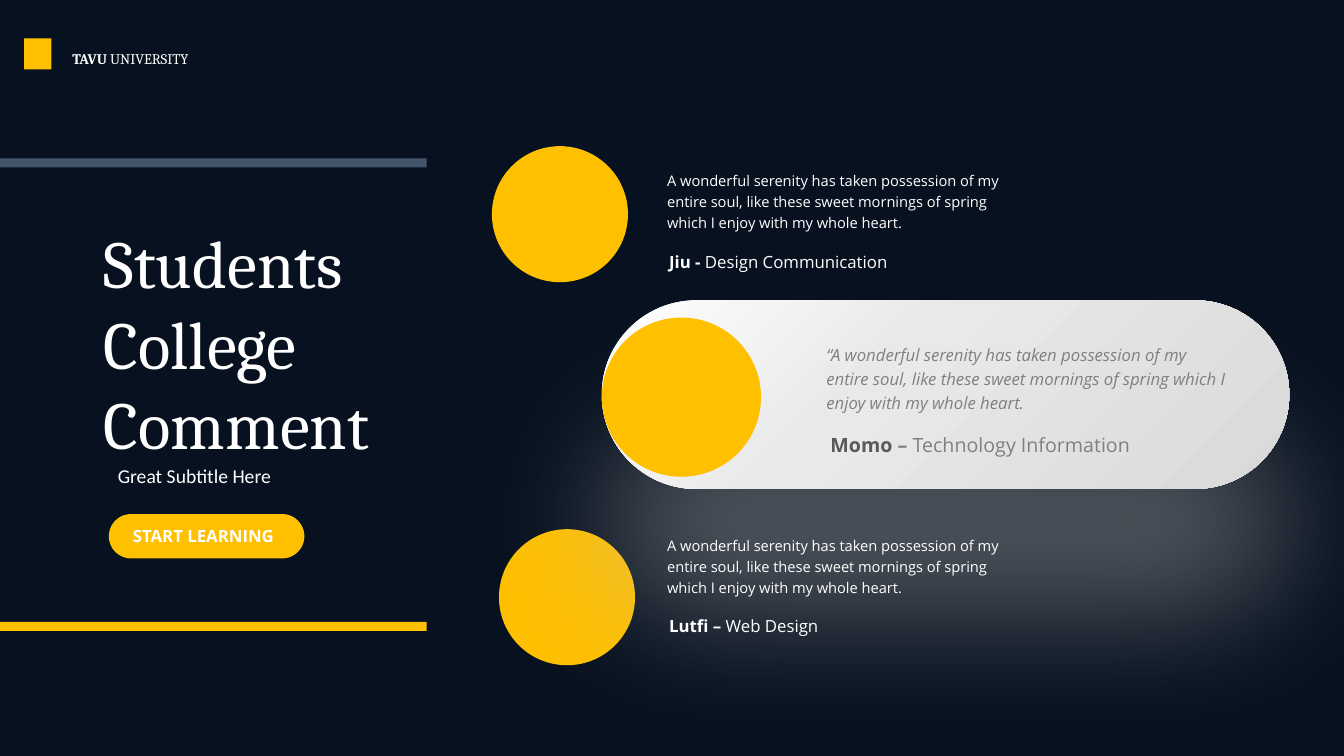
from dataclasses import dataclass

from lxml import etree
from pptx import Presentation
from pptx.dml.color import RGBColor
from pptx.enum.shapes import MSO_SHAPE as Preset
from pptx.enum.text import MSO_ANCHOR as Anchor, MSO_AUTO_SIZE as AutoSize
from pptx.oxml import parse_xml
from pptx.oxml.ns import nsdecls, qn
from pptx.util import Emu, Pt

COLUMNS, ROWS, CELL = 160, 90, 76200


@dataclass(frozen=True)
class Theme:
    night: str = "07111F"
    gold: str = "FFC000"
    slate: str = "44546A"
    white: str = "FFFFFF"
    grey: str = "808080"
    charcoal: str = "595959"
    glow: str = "BFBFBF"
    sheen: tuple = ((0, "FFFFFF"), (40, "E9E9E9"), (100, "D9D9D9"))
    serif: str = "Cambria"
    sans: str = "Open Sans"
    plain: str = "Calibri"
    title: float = 48
    subtitle: float = 14
    body: float = 12
    small: float = 10.5


class Deck:
    def __init__(self, theme):
        self.theme = theme
        self.presentation = Presentation()
        self.presentation.slide_width = Emu(COLUMNS * CELL)
        self.presentation.slide_height = Emu(ROWS * CELL)
        self.slide = self.presentation.slides.add_slide(self.presentation.slide_layouts[6])
        background = self.slide.background.fill
        background.solid()
        background.fore_color.rgb = RGBColor.from_string(theme.night)

    def grid(self, *cells):
        return [Emu(round(cell * CELL)) for cell in cells]

    def block(self, preset, column, row, columns, rows, color):
        shape = self.slide.shapes.add_shape(preset, *self.grid(column, row, columns, rows))
        shape.shadow.inherit = False
        shape.fill.solid()
        shape.fill.fore_color.rgb = RGBColor.from_string(color)
        shape.line.fill.background()
        return shape

    def pill(self, column, row, columns, rows):
        shape = self.block(Preset.ROUNDED_RECTANGLE, column, row, columns, rows, self.theme.gold)
        shape.adjustments[0] = 0.5
        return shape

    def circle(self, column, row, diameter):
        return self.block(Preset.OVAL, column, row, diameter, diameter, self.theme.gold)

    def bar(self, row, color):
        return self.block(Preset.RECTANGLE, 0, row, 50.8, 1.08, color)

    def glowing_pill(self, column, row, columns, rows):
        shape = self.pill(column, row, columns, rows)
        properties = shape.fill._xPr
        stops = "".join(
            f'<a:gs pos="{share * 1000}"><a:srgbClr val="{color}"/></a:gs>'
            for share, color in self.theme.sheen
        )
        gradient = parse_xml(
            f'<a:gradFill {nsdecls("a")} rotWithShape="1"><a:gsLst>{stops}</a:gsLst>'
            '<a:lin ang="2700000" scaled="0"/></a:gradFill>'
        )
        properties.replace(properties.find(qn("a:solidFill")), gradient)
        shadow = etree.SubElement(
            properties.find(qn("a:effectLst")), qn("a:outerShdw"),
            blurRad=str(Pt(100)), dist=str(Pt(90)), dir="5400000",
            algn="t", rotWithShape="0",
        )
        color = etree.SubElement(shadow, qn("a:srgbClr"), val=self.theme.glow)
        etree.SubElement(color, qn("a:alpha"), val="40000")

    def text(self, column, row, columns, rows, words, font, size, color=None,
             bold=None, italic=None, spacing=None, anchor=Anchor.TOP,
             wrap=True, grow=AutoSize.SHAPE_TO_FIT_TEXT):
        box = self.slide.shapes.add_textbox(*self.grid(column, row, columns, rows))
        frame = box.text_frame
        frame.word_wrap = wrap
        frame.auto_size = grow
        frame.vertical_anchor = anchor
        paragraph = frame.paragraphs[0]
        paragraph.line_spacing = spacing
        paragraph.font.name = font
        paragraph.font.size = Pt(size)
        paragraph.font.bold = bold
        paragraph.font.italic = italic
        paragraph.font.color.rgb = RGBColor.from_string(color or self.theme.white)
        if isinstance(words, str):
            words = [(words, None, None)]
        for part, weight, shade in words:
            run = paragraph.add_run()
            run.text = part
            if weight is not None:
                run.font.bold = weight
            if shade:
                run.font.color.rgb = RGBColor.from_string(shade)

    def save(self):
        self.presentation.save("out.pptx")


def main():
    theme = Theme()
    deck = Deck(theme)
    comment = (
        "A wonderful serenity has taken possession of my entire soul, like these "
        "sweet mornings of spring which I enjoy with my whole heart."
    )
    students = [
        (58.56, 17.4, 19.44, 29.4, 33.24, "Jiu - ", "Design Communication"),
        (59.4, 63, 62.88, 72.72, 28.8, "Lutfi – ", "Web Design"),
    ]

    for column, row, *_ in students:
        deck.circle(column, row, 16.2)
    deck.glowing_pill(71.64, 35.76, 81.84, 22.44)
    deck.circle(71.64, 37.8, 18.96)

    deck.bar(18.84, theme.slate)
    deck.bar(74.04, theme.gold)
    deck.text(11.16, 24.36, 48.12, 32.76, "Students College Comment", theme.serif,
              theme.title, anchor=Anchor.MIDDLE, grow=AutoSize.NONE)
    deck.text(12.84, 54.6, 43.44, 4.08, "Great Subtitle Here", theme.plain, theme.subtitle)
    deck.pill(12.96, 61.2, 23.28, 5.28)
    deck.text(14.64, 62.04, 19.92, 3.6, "START LEARNING", theme.sans, theme.body,
              bold=True, wrap=False)

    deck.block(Preset.RECTANGLE, 2.88, 4.56, 3.24, 3.72, theme.gold)
    deck.text(7.44, 5.28, 18.12, 3.36,
              [("TAVU ", True, None), ("UNIVERSITY", None, None)], theme.serif, theme.small)

    deck.text(97.2, 39.96, 50.04, 9.72, "“" + comment, theme.sans, theme.body,
              theme.grey, italic=True, spacing=1.2)
    deck.text(97.68, 51, 44.28, 4.08,
              [("Momo ", True, theme.charcoal), ("– ", True, None),
               ("Technology Information", None, None)],
              theme.sans, theme.subtitle, theme.grey)

    for _, _, comment_row, name_row, columns, name, course in students:
        deck.text(78.24, comment_row, 43.8, 8.64, comment, theme.sans, theme.small, spacing=1.2)
        deck.text(78.48, name_row, columns, 3.6,
                  [(name, True, None), (course, None, None)], theme.sans, theme.body)

    deck.save()


if __name__ == "__main__":
    main()
